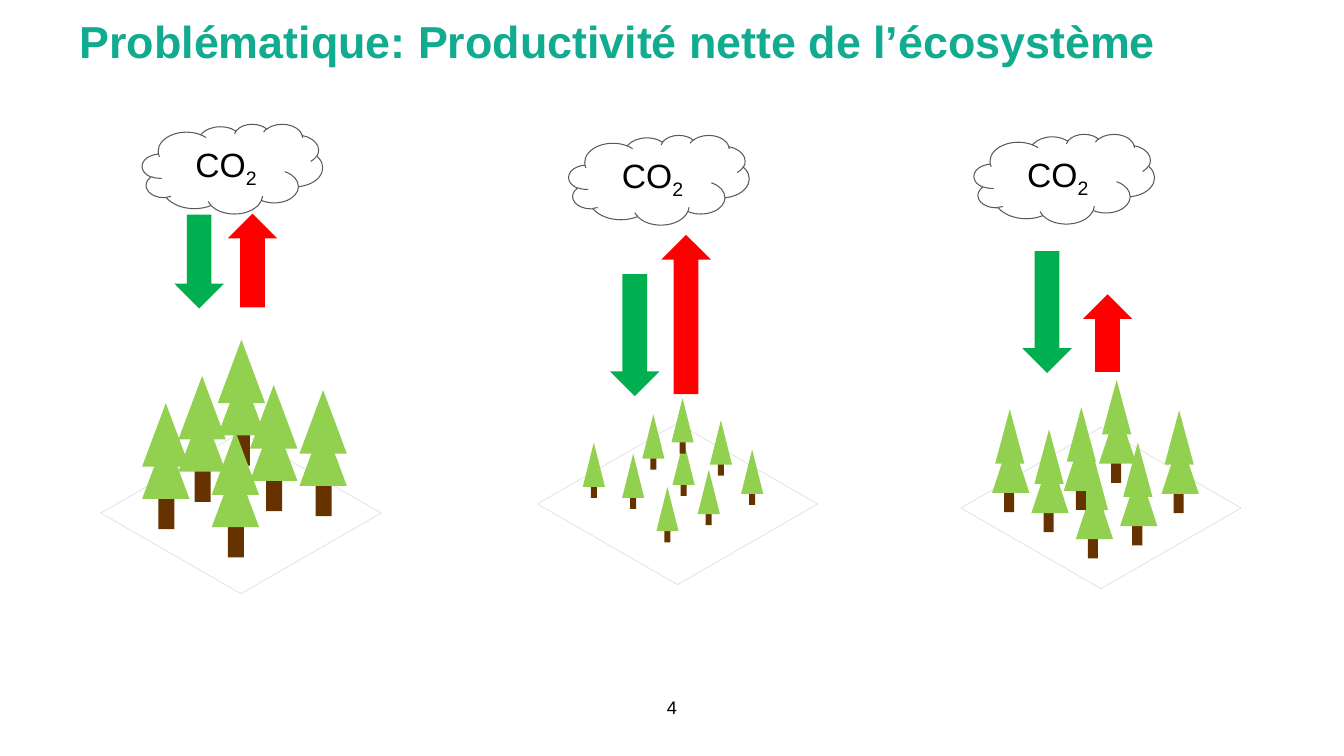
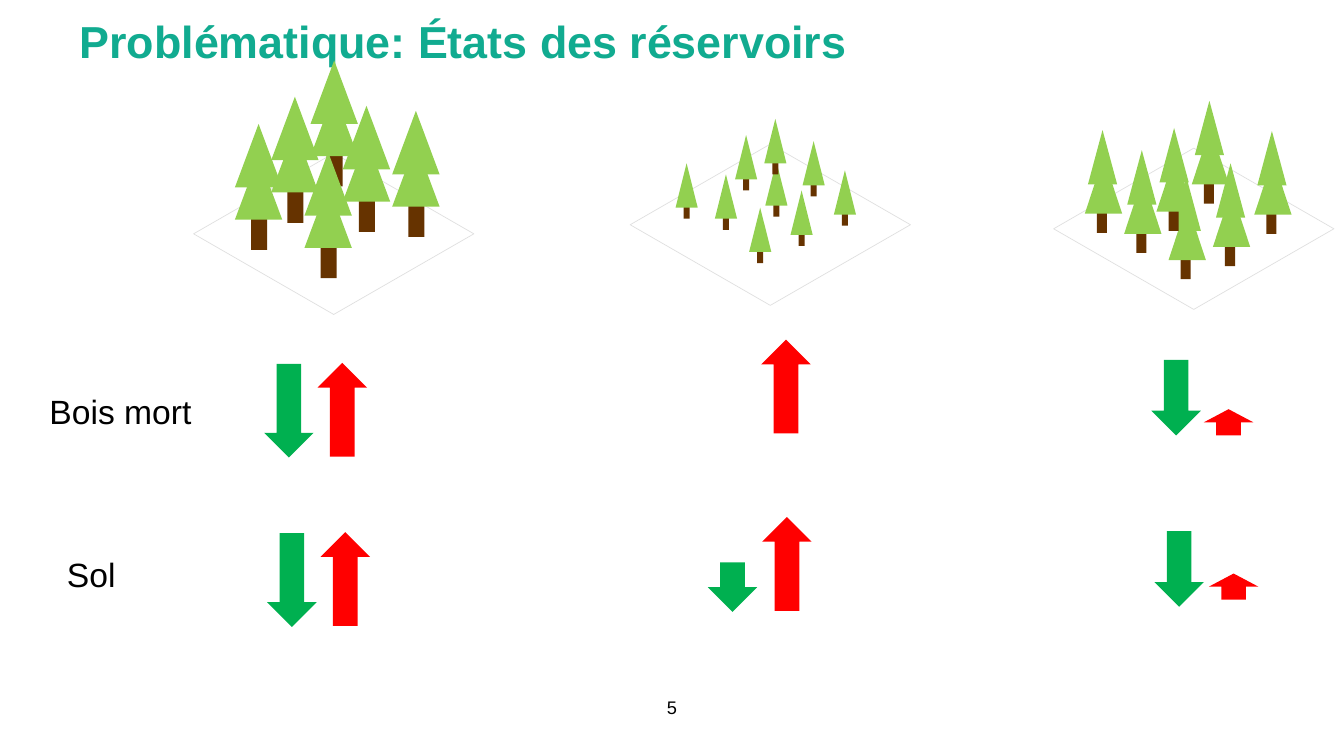
"""Build two slides on carbon exchange between forests and the atmosphere."""
from pptx import Presentation
from pptx.dml.color import RGBColor
from pptx.enum.shapes import MSO_SHAPE
from pptx.enum.text import MSO_ANCHOR, MSO_AUTO_SIZE, PP_ALIGN
from pptx.util import Inches, Pt

TEAL, BLACK, WHITE = "11AB90", "000000", "FFFFFF"
LEAF, TRUNK = "92D050", "663300"
GREEN, RED = "00B050", "FF0000"
CLOUD_LINE, PLOT_LINE = "595959", "E0E0E0"
FONT = "Arial"
ARROW_W = 0.49
PLOT_W, PLOT_H = 2.78, 1.6


def add_shape(s, kind, box, fill=None, line=None, width=0.75):
    sp = s.shapes.add_shape(kind, *[Inches(v) for v in box])
    sp.shadow.inherit = False
    if fill:
        sp.fill.solid()
        sp.fill.fore_color.rgb = RGBColor.from_string(fill)
    else:
        sp.fill.background()
    if line:
        sp.line.color.rgb = RGBColor.from_string(line)
        sp.line.width = Pt(width)
    else:
        sp.line.fill.background()
    return sp


def write(tf, text, size, color=BLACK, align=PP_ALIGN.CENTER, anchor=MSO_ANCHOR.TOP):
    tf.word_wrap = True
    tf.auto_size = MSO_AUTO_SIZE.NONE
    tf.vertical_anchor = anchor
    p = tf.paragraphs[0]
    p.alignment = align
    r = p.add_run()
    r.text = text
    r.font.name = FONT
    r.font.size = Pt(size)
    r.font.color.rgb = RGBColor.from_string(color)
    return r


mature = {
    "center": (2.39, 5.09),
    "crowns": [(0, 0, 0.47, 0.63), (0, 0.32, 0.47, 0.63)],
    "trunk": (0.16, 0.86, 0.16, 0.39),
    "trees": [(2.16, 3.37), (1.77, 3.73), (2.48, 3.82),
              (2.1, 4.28), (1.41, 4), (2.97, 3.87)],
}
seedlings = {
    "center": (6.72, 5),
    "crowns": [(0, 0, 0.22, 0.44)],
    "trunk": (0.08, 0.21, 0.06, 0.34),
    "trees": [(6.51, 4.83), (6.92, 4.66), (6.67, 4.37), (7.35, 4.46), (7.04, 4.17),
              (6.37, 4.11), (6.17, 4.5), (5.78, 4.39), (6.66, 3.95)],
}
young = {
    "center": (10.92, 5.04),
    "crowns": [(0, 0, 0.29, 0.54), (-0.03, 0.27, 0.37, 0.56)],
    "trunk": (0.09, 0.57, 0.1, 0.45),
    "trees": [(10.7, 4.52), (11.14, 4.39), (10.26, 4.26), (10.58, 4.04),
              (11.55, 4.07), (10.93, 3.77), (9.87, 4.06)],
}

slides = [
    {
        "title": "Problématique: Productivité nette de l’écosystème",
        "number": "4",
        "shift": (0, 0),
        "down": [(1.73, 2.13, 0.93), (6.05, 2.72, 1.21), (10.14, 2.49, 1.21)],
        "up": [(2.26, 2.12, 0.93), (6.56, 2.33, 1.58), (10.74, 2.92, 0.77)],
        "clouds": [(1.41, 1.23), (5.64, 1.34), (9.66, 1.33)],
        "labels": [],
    },
    {
        "title": "Problématique: États des réservoirs",
        "number": "5",
        "shift": (0.92, -2.77),
        "down": [(2.62, 3.61, 0.93), (11.42, 3.57, 0.75),
                 (2.65, 5.29, 0.93), (7.02, 5.58, 0.49), (11.45, 5.27, 0.75)],
        "up": [(3.15, 3.6, 0.93), (7.55, 3.37, 0.93), (11.94, 4.06, 0.26),
               (3.18, 5.28, 0.93), (7.56, 5.13, 0.93), (11.99, 5.69, 0.26)],
        "clouds": [],
        "labels": [("Bois mort", 0.21, 3.83, 1.97, 0.63), ("Sol", 0.21, 5.45, 1.39, 0.74)],
    },
]

prs = Presentation()
prs.slide_width = Inches(13.33)
prs.slide_height = Inches(7.5)
layout = prs.slide_layouts[5]
title = layout.placeholders[0]
title.left, title.top = Inches(0.69), Inches(-0.11)
title.width, title.height = Inches(11.33), Inches(0.83)

for data in slides:
    s = prs.slides.add_slide(layout)
    r = write(s.shapes.title.text_frame, data["title"], 32, TEAL, PP_ALIGN.LEFT, MSO_ANCHOR.BOTTOM)
    r.font.bold = True
    number = s.shapes.add_textbox(Inches(6.3), Inches(6.82), Inches(0.73), Inches(0.39))
    write(number.text_frame, data["number"], 13, anchor=MSO_ANCHOR.MIDDLE)

    dx, dy = data["shift"]
    for forest in (mature, seedlings, young):
        cx, cy = forest["center"]
        plot = (cx + dx - PLOT_W / 2, cy + dy - PLOT_H / 2, PLOT_W, PLOT_H)
        add_shape(s, MSO_SHAPE.DIAMOND, plot, line=PLOT_LINE, width=0.5)
        for x, y in forest["trees"]:
            left, top, w, h = forest["trunk"]
            add_shape(s, MSO_SHAPE.RECTANGLE, (x + dx + left, y + dy + top, w, h), TRUNK)
            for left, top, w, h in forest["crowns"]:
                crown = (x + dx + left, y + dy + top, w, h)
                add_shape(s, MSO_SHAPE.ISOSCELES_TRIANGLE, crown, LEAF)

    for kind, color, arrows in ((MSO_SHAPE.DOWN_ARROW, GREEN, data["down"]),
                                (MSO_SHAPE.UP_ARROW, RED, data["up"])):
        for x, y, h in arrows:
            add_shape(s, kind, (x, y, ARROW_W, h), color)

    for x, y in data["clouds"]:
        cloud = add_shape(s, MSO_SHAPE.CLOUD, (x, y, 1.79, 0.89), WHITE, CLOUD_LINE)
        write(cloud.text_frame, "CO", 24, anchor=MSO_ANCHOR.MIDDLE)
        r = write(cloud.text_frame, "2", 24, anchor=MSO_ANCHOR.MIDDLE)
        r.font._element.set("baseline", "-25000")

    for text, *box in data["labels"]:
        label = s.shapes.add_textbox(*[Inches(v) for v in box])
        write(label.text_frame, text, 24)

prs.save("out.pptx")
